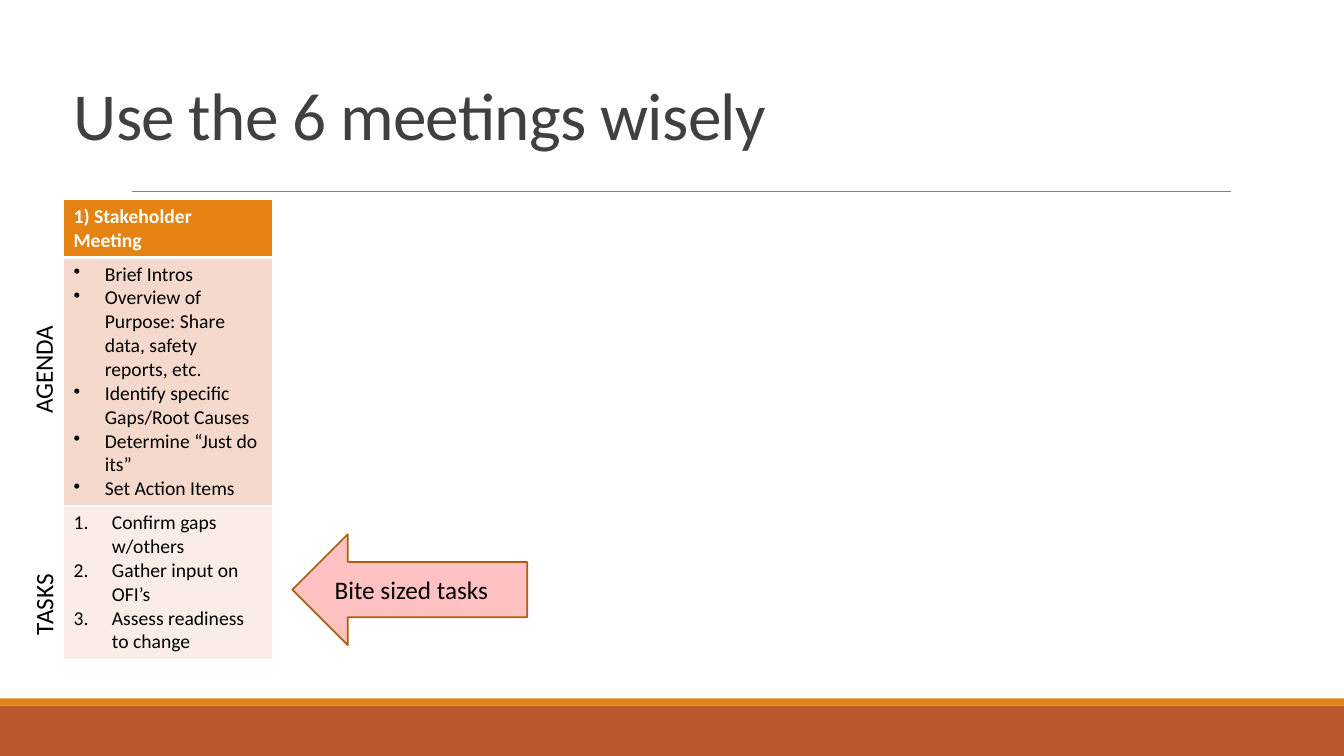
from lxml import etree
from pptx import Presentation
from pptx.dml.color import RGBColor
from pptx.enum.shapes import MSO_CONNECTOR, MSO_SHAPE
from pptx.enum.text import MSO_ANCHOR, MSO_AUTO_SIZE, PP_ALIGN
from pptx.oxml.ns import qn
from pptx.util import Inches, Pt

STRAIGHT = MSO_CONNECTOR.STRAIGHT
RECTANGLE = MSO_SHAPE.RECTANGLE
LEFT_ARROW = MSO_SHAPE.LEFT_ARROW
BOTTOM, TOP = MSO_ANCHOR.BOTTOM, MSO_ANCHOR.TOP
GROW, NO_FIT = MSO_AUTO_SIZE.SHAPE_TO_FIT_TEXT, MSO_AUTO_SIZE.NONE
LEFT = PP_ALIGN.LEFT

SLIDE_W, SLIDE_H = 13.33, 7.5
TITLE_FONT = {"name": "Calibri", "size": Pt(48), "bold": False}
HEADER_FONT = {"name": "Calibri", "size": Pt(14), "bold": True}
CELL_FONT = {"name": "Calibri", "size": Pt(14), "bold": False}
LABEL_FONT = {"name": "Calibri", "size": Pt(18), "bold": False}

AGENDA = [
    "Brief Intros",
    "Overview of Purpose: Share data, safety reports, etc.",
    "Identify specific Gaps/Root Causes",
    "Determine “Just do its”",
    "Set Action Items",
]
TASKS = [
    "Confirm gaps w/others",
    "Gather input on OFI’s",
    "Assess readiness to change",
]
BULLET = ("buChar", {"char": "•"}, 0.31)
NUMBER = ("buAutoNum", {"type": "arabicPeriod"}, 0.38)
MEETING_ROWS = [
    (["1) Stakeholder Meeting"], None, HEADER_FONT, "FFFFFF", "E48312", 0.57, (1, 3)),
    (AGENDA, BULLET, CELL_FONT, "000000", "F5D9CC", 2.46, (3, 1)),
    (TASKS, NUMBER, CELL_FONT, "000000", "FAEDE7", 1.51, (1, 1)),
]


def rgb(value):
    return RGBColor.from_string(value)


def lengths(box):
    return [Inches(value) for value in box]


def format_font(font, values, color):
    for key, value in values.items():
        setattr(font, key, value)
    font.color.rgb = rgb(color)


def add_plain_shape(slide, kind, box, fill, outline=None):
    shape = slide.shapes.add_shape(kind, *lengths(box))
    shape.shadow.inherit = False
    shape.fill.solid()
    shape.fill.fore_color.rgb = rgb(fill)
    if outline:
        shape.line.color.rgb = rgb(outline)
        shape.line.width = Pt(1.25)
    else:
        shape.line.fill.background()


def add_label(slide, box, text, rotation=0):
    label = slide.shapes.add_textbox(*lengths(box))
    label.rotation = rotation
    frame = label.text_frame
    frame.word_wrap = True
    frame.auto_size = GROW
    frame.text = text
    format_font(frame.paragraphs[0].font, LABEL_FONT, "000000")


def add_footer_band(slide, box):
    left, top, width, height = box
    stripe = 0.07
    add_plain_shape(slide, RECTANGLE, (left, top + stripe, width, height - stripe), "BD582C")
    add_plain_shape(slide, RECTANGLE, (left, top, width, stripe), "E48312")


def add_heading(slide, box):
    left, top, width, height = box
    rule_y = top + height + 0.32
    rule = slide.shapes.add_connector(STRAIGHT, *lengths((1.31, rule_y, 12.21, rule_y)))
    rule.line.color.rgb = rgb("808080")
    rule.line.width = Pt(0.5)
    etree.SubElement(rule._element.spPr, qn("a:effectLst"))

    title = slide.shapes.title
    title.left, title.top, title.width, title.height = lengths(box)
    frame = title.text_frame
    frame.text = "Use the 6 meetings wisely"
    frame.word_wrap = True
    frame.auto_size = NO_FIT
    frame.vertical_anchor = BOTTOM
    paragraph = frame.paragraphs[0]
    paragraph.alignment = LEFT
    paragraph.line_spacing = 0.85
    run = paragraph.runs[0]
    format_font(run.font, TITLE_FONT, "404040")
    run.font._element.set("spc", "-50")


def add_list_marker(paragraph, marker):
    tag, attributes, indent = marker
    properties = paragraph._p.get_or_add_pPr()
    properties.set("marL", str(Inches(indent)))
    properties.set("indent", str(-Inches(indent)))
    etree.SubElement(properties, qn("a:" + tag), attributes)


def set_borders(cell, top_width, bottom_width):
    properties = cell._tc.get_or_add_tcPr()
    sides = {"lnL": 1, "lnR": 1, "lnT": top_width, "lnB": bottom_width}
    for position, (side, width) in enumerate(sides.items()):
        border = etree.Element(qn("a:" + side), {"w": str(Pt(width))})
        fill = etree.SubElement(border, qn("a:solidFill"))
        etree.SubElement(fill, qn("a:srgbClr"), {"val": "FFFFFF"})
        properties.insert(position, border)


def add_meeting_table(slide, box):
    table = slide.shapes.add_table(len(MEETING_ROWS), 1, *lengths(box)).table
    for index, row in enumerate(MEETING_ROWS):
        lines, marker, font, color, fill, height, borders = row
        table.rows[index].height = Inches(height)
        cell = table.cell(index, 0)
        cell.vertical_anchor = TOP
        cell.fill.solid()
        cell.fill.fore_color.rgb = rgb(fill)
        set_borders(cell, *borders)
        cell.text = "\n".join(lines)
        for paragraph in cell.text_frame.paragraphs:
            if marker:
                add_list_marker(paragraph, marker)
            format_font(paragraph.font, font, color)


def add_row_labels(slide):
    add_label(slide, (-0.5, 3.08, 1.85, 0.4), "AGENDA", 270)
    add_label(slide, (-0.12, 5.65, 1.1, 0.4), "TASKS", 270)


def add_task_callout(slide, box):
    left, top, width, height = box
    add_plain_shape(slide, LEFT_ARROW, box, "FFC1C1", "A9610D")
    add_label(slide, (left + 0.32, top + 0.35, 2.11, 0.4), "Bite sized tasks")


def main():
    deck = Presentation()
    deck.slide_width, deck.slide_height = lengths((SLIDE_W, SLIDE_H))
    slide = deck.slides.add_slide(deck.slide_layouts[5])
    add_footer_band(slide, (0, 6.93, SLIDE_W, SLIDE_H - 6.93))
    add_heading(slide, (0.63, 0.13, 11.5, 1.45))
    add_meeting_table(slide, (0.63, 1.98, 2.07, 4.54))
    add_row_labels(slide)
    add_task_callout(slide, (2.9, 5.3, 2.33, 1.1))
    deck.save("out.pptx")


if __name__ == "__main__":
    main()
